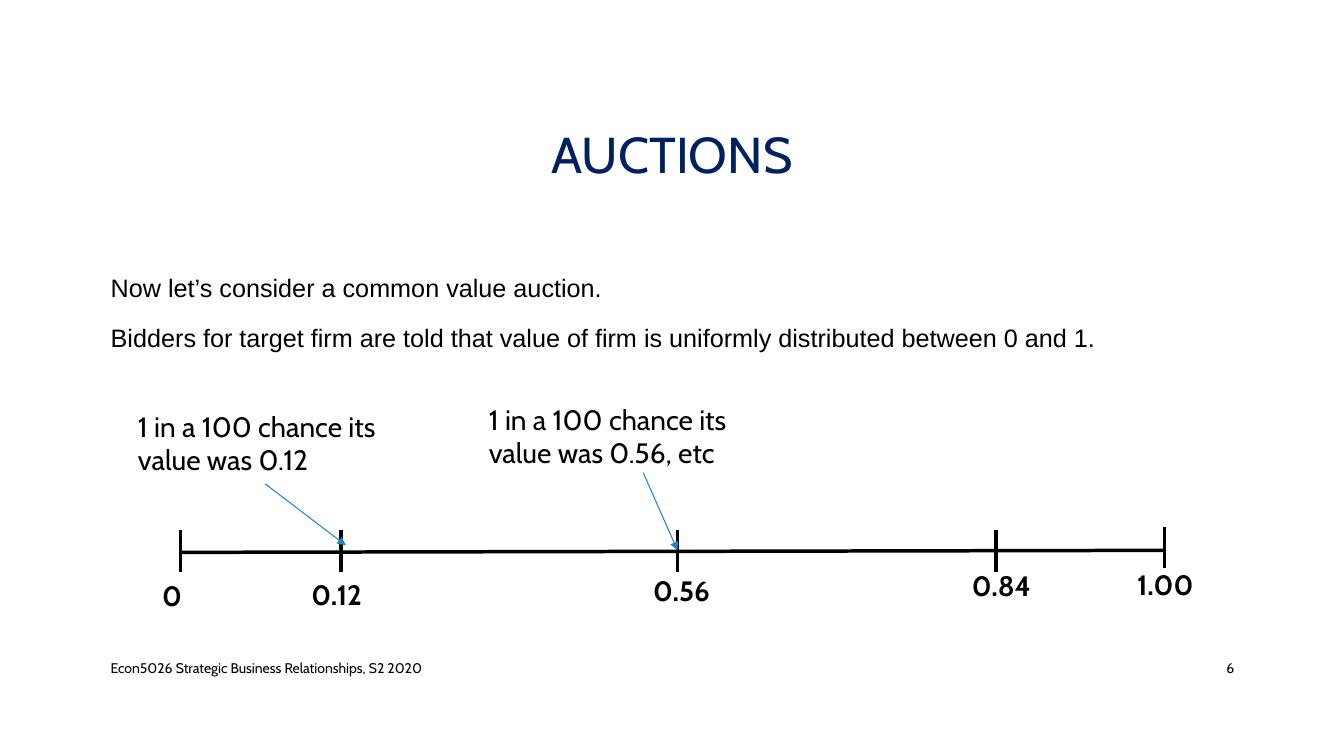
from dataclasses import dataclass

from lxml import etree
from pptx import Presentation
from pptx import util as u
from pptx.dml import color
from pptx.enum import shapes, text
from pptx.oxml import ns

COLORS = {"title": "002060", "ink": "000000", "arrow": "2683BF"}
TICK_HEIGHT = 0.41
LABEL_HEIGHT = 0.44


@dataclass
class TextBlock:
    left: float
    top: float
    width: float
    height: float
    paragraphs: list[str]
    size: int
    font: str = "Cabin"
    color: str = "ink"
    bold: bool = False
    align: text.PP_ALIGN = text.PP_ALIGN.LEFT
    anchor: text.MSO_ANCHOR = text.MSO_ANCHOR.TOP
    line_spacing: float = 1.0
    space_before: int = 0


@dataclass
class Line:
    start: tuple[float, float]
    end: tuple[float, float]
    color: str = "ink"
    width: float = 2.5
    arrow: bool = False


@dataclass
class Tick:
    label: str
    x: float
    top: float
    label_left: float
    label_top: float
    label_width: float = 0.87


MIDDLE = text.MSO_ANCHOR.MIDDLE
TEXT_BLOCKS = [
    TextBlock(1, 0.68, 11.33, 1.75, ["AUCTIONS"], 36, color="title",
              align=text.PP_ALIGN.CENTER, anchor=MIDDLE, line_spacing=0.9),
    TextBlock(1, 2.59, 11.33, 1.2, [
        "Now let’s consider a common value auction.",
        "Bidders for target firm are told that value of firm is uniformly distributed between 0 and 1.",
    ], 18, font="Arial", line_spacing=1.2, space_before=10),
    TextBlock(1, 6.43, 7.3, 0.4, ["Econ5026 Strategic Business Relationships, S2 2020"], 10, anchor=MIDDLE),
    TextBlock(11.5, 6.43, 0.84, 0.4, ["6"], 10, align=text.PP_ALIGN.RIGHT, anchor=MIDDLE),
    TextBlock(1.27, 4.01, 2.74, 0.77, ["1 in a 100 chance its value was 0.12"], 20),
    TextBlock(4.75, 3.94, 2.74, 0.77, ["1 in a 100 chance its value was 0.56, etc"], 20),
]
TICKS = [
    Tick("0", 1.79, 5.26, 1.51, 5.69, 0.56),
    Tick("0.12", 3.38, 5.26, 2.99, 5.68),
    Tick("0.56", 6.72, 5.26, 6.38, 5.64),
    Tick("0.84", 9.88, 5.26, 9.54, 5.59),
    Tick("1.00", 11.55, 5.23, 11.18, 5.58),
]
AXIS = Line((TICKS[0].x, 5.48), (TICKS[-1].x, 5.46))
ARROWS = [
    Line((2.63, 4.8), (3.43, 5.41), "arrow", 0.75, True),
    Line((6.38, 4.69), (6.72, 5.46), "arrow", 0.75, True),
]


def add_text(slide, block: TextBlock) -> None:
    shape = slide.shapes.add_textbox(*map(u.Inches, (block.left, block.top, block.width, block.height)))
    frame = shape.text_frame
    frame.word_wrap = True
    frame.vertical_anchor = block.anchor
    for index, wording in enumerate(block.paragraphs):
        paragraph = frame.add_paragraph() if index else frame.paragraphs[0]
        paragraph.alignment = block.align
        paragraph.line_spacing = block.line_spacing
        paragraph.space_before = u.Pt(block.space_before if index else 0)
        run = paragraph.add_run()
        run.text = wording
        run.font.name = block.font
        run.font.size = u.Pt(block.size)
        run.font.bold = block.bold
        run.font.color.rgb = color.RGBColor.from_string(COLORS[block.color])


def add_line(slide, line: Line) -> None:
    connector = slide.shapes.add_connector(
        shapes.MSO_CONNECTOR.STRAIGHT, *map(u.Inches, (*line.start, *line.end)))
    connector.line.color.rgb = color.RGBColor.from_string(COLORS[line.color])
    connector.line.width = u.Pt(line.width)
    if line.arrow:
        etree.SubElement(connector.line._get_or_add_ln(), ns.qn("a:tailEnd"), type="triangle")
    etree.SubElement(connector._element.spPr, ns.qn("a:effectLst"))


def add_tick(slide, tick: Tick) -> None:
    add_line(slide, Line((tick.x, tick.top), (tick.x, tick.top + TICK_HEIGHT)))
    add_text(slide, TextBlock(tick.label_left, tick.label_top, tick.label_width, LABEL_HEIGHT,
                              [tick.label], 20, bold=True))


def main() -> None:
    presentation = Presentation()
    presentation.slide_width = u.Inches(13.33)
    presentation.slide_height = u.Inches(7.5)
    slide = presentation.slides.add_slide(presentation.slide_layouts[6])
    for block in TEXT_BLOCKS:
        add_text(slide, block)
    add_line(slide, AXIS)
    for tick in TICKS:
        add_tick(slide, tick)
    for arrow in ARROWS:
        add_line(slide, arrow)
    presentation.save("out.pptx")


if __name__ == "__main__":
    main()
